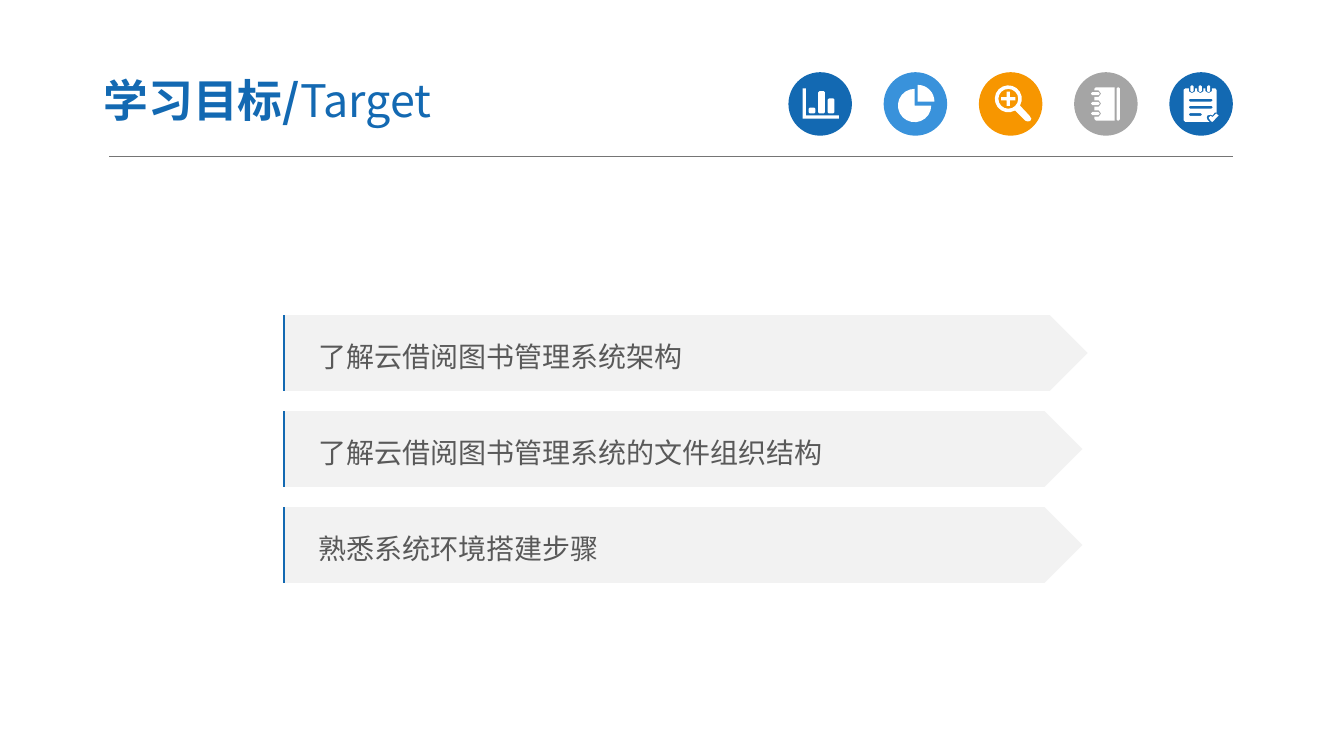
from math import cos, radians, sin

from lxml.etree import SubElement
from pptx import Presentation
from pptx.dml.color import RGBColor
from pptx.enum.shapes import MSO_CONNECTOR, MSO_SHAPE
from pptx.enum.text import MSO_ANCHOR, MSO_AUTO_SIZE, PP_ALIGN
from pptx.oxml.ns import qn
from pptx.util import Cm, Pt

BLUE, SKY, ORANGE, GREY, WHITE = "1369B2", "3992DB", "F79600", "A5A5A5", "FFFFFF"


def rgb(value):
    """Turn a hex string into a colour."""
    return RGBColor.from_string(value)


def arc(cx, cy, r, start, end, steps=16):
    """List points along an arc, with angles clockwise from the right."""
    angles = [radians(start + (end - start) * i / steps) for i in range(steps + 1)]
    return [(cx + r * cos(a), cy + r * sin(a)) for a in angles]


def bar(x, y, w, h, c=0.03):
    """List the points of a box with cut corners."""
    r, b = x + w, y + h
    return [(x + c, y), (r - c, y), (r, y + c), (r, b - c),
            (r - c, b), (x + c, b), (x, b - c), (x, y + c)]


class Deck:
    """Hold the style and the current slide."""

    font = "Noto Sans CJK SC"

    def __init__(self, prs):
        """Add a title-only slide."""
        self.s = prs.slides.add_slide(prs.slide_layouts[5])

    def paint(self, sp, fill):
        """Give a shape a plain fill without line or shadow."""
        sp.shadow.inherit = False
        sp.fill.solid()
        sp.fill.fore_color.rgb = rgb(fill)
        sp.line.fill.background()
        return sp

    def shape(self, shapes, kind, x, y, w, h, fill):
        """Add a preset shape."""
        return self.paint(shapes.add_shape(kind, Cm(x), Cm(y), Cm(w), Cm(h)), fill)

    def outline(self, shapes, x, y, contours, fill):
        """Add one shape made of several closed contours."""
        placed = [[(Cm(x + dx), Cm(y + dy)) for dx, dy in c] for c in contours]
        fb = shapes.build_freeform(*placed[0][0])
        for pts in placed:
            fb.move_to(*pts[0])
            fb.add_line_segments(pts[1:], close=True)
        return self.paint(fb.convert_to_shape(), fill)

    def rule(self, x1, x2, y, colour, width):
        """Add a horizontal line."""
        c = self.s.shapes.add_connector(MSO_CONNECTOR.STRAIGHT, Cm(x1), Cm(y), Cm(x2), Cm(y))
        c.line.color.rgb = rgb(colour)
        c.line.width = Pt(width)
        SubElement(c._element.spPr, qn("a:effectLst"))

    def edge(self, shapes, x, y, h):
        """Add the upright edge of a bar as an open path."""
        fb = shapes.build_freeform(Cm(x + 0.3), Cm(y))
        fb.move_to(Cm(x), Cm(y + h))
        fb.add_line_segments([(Cm(x), Cm(y))], close=False)
        sp = fb.convert_to_shape()
        sp.shadow.inherit = False
        sp.fill.background()
        sp.line.color.rgb = rgb(BLUE)
        sp.line.width = Pt(1.5)

    def run(self, p, text, size, colour, bold=False):
        """Add one run of text."""
        r = p.add_run()
        r.text = text
        r.font.size, r.font.bold, r.font.name = Pt(size), bold, self.font
        r.font.color.rgb = rgb(colour)
        SubElement(r._r.get_or_add_rPr(), qn("a:ea")).set("typeface", self.font)

    def frame(self, sp, left, top):
        """Prepare a text frame and return its first paragraph."""
        tf = sp.text_frame
        tf.word_wrap, tf.auto_size = True, MSO_AUTO_SIZE.NONE
        tf.vertical_anchor = MSO_ANCHOR.MIDDLE
        tf.margin_left, tf.margin_right = Cm(left), Cm(0.25)
        tf.margin_top = tf.margin_bottom = Cm(top)
        p = tf.paragraphs[0]
        p.alignment = PP_ALIGN.LEFT
        return p

    def title(self, strong, light):
        """Place and fill the title."""
        sp = self.s.shapes.title
        sp.left, sp.top, sp.width, sp.height = Cm(2.27), Cm(1.6), Cm(13.26), Cm(1.83)
        p = self.frame(sp, 0.34, 0.18)
        self.run(p, strong, 32, BLUE, True)
        self.run(p, light, 32, BLUE)

    def goal(self, y, w, text):
        """Add an arrow-shaped bar with a goal."""
        shapes = self.s.shapes.add_group_shape().shapes
        sp = self.shape(shapes, MSO_SHAPE.PENTAGON, 7.14, y, w, 1.91, "F2F2F2")
        p = self.frame(sp, 0.88, 0.13)
        p.line_spacing = 1.2
        self.run(p, text, 20, "595959")
        self.edge(shapes, 7.16, y, 1.91)

    def icon(self, x, y, colour, contours):
        """Add a disc with a white symbol."""
        shapes = self.s.shapes.add_group_shape().shapes
        self.shape(shapes, MSO_SHAPE.OVAL, x, y, 1.6, 1.6, colour)
        self.outline(shapes, x, y, contours, WHITE)


def chart_symbol():
    """Outline a bar chart with its axes."""
    axes = [(0.36, 0.41), (0.44, 0.41), (0.44, 1.09), (1.27, 1.09), (1.27, 1.17), (0.36, 1.17)]
    return [axes] + [bar(0.51 + 0.24 * i, 1.04 - h, 0.17, h)
                     for i, h in enumerate((0.15, 0.56, 0.38))]


def pie_symbol():
    """Outline a pie with one quarter pulled out."""
    return [[(0.86, 0.74)] + arc(0.86, 0.74, 0.42, -90, 0, 8),
            [(0.78, 0.84)] + arc(0.78, 0.84, 0.42, 0, 270)]


def lens_symbol():
    """Outline a magnifier with a plus sign."""
    cx, cy, a, b = 0.74, 0.67, 0.04, 0.18
    handle = [(1.27, 1.09), (1.32, 1.17), (1.29, 1.23), (1.22, 1.24), (1.17, 1.22)]
    plus = [(-a, -b), (a, -b), (a, -a), (b, -a), (b, a), (a, a),
            (a, b), (-a, b), (-a, a), (-b, a), (-b, -a), (-a, -a)]
    return [arc(cx, cy, 0.34, 60, 390) + handle, arc(cx, cy, 0.25, 0, 360),
            [(cx + dx, cy + dy) for dx, dy in plus]]


def book_symbol():
    """Outline a ring-bound notebook."""
    rings = (0.54, 0.79, 1.04)
    cover = [(1.02, 1.22), (1.02, 0.38), (0.55, 0.38), (0.51, 0.42)]
    for y in rings:
        cover += [(0.51, y - 0.08), (0.62, y - 0.08), (0.68, y), (0.62, y + 0.08), (0.51, y + 0.08)]
    cover += [(0.51, 1.18), (0.55, 1.22)]
    return [cover, bar(1.07, 0.38, 0.08, 0.84)] + [bar(0.43, y - 0.04, 0.21, 0.08) for y in rings]


def pad_symbol():
    """Outline a notepad with a check mark."""
    rings = (0.57, 0.78, 0.99)
    page = [(0.36, 1.21), (0.36, 0.44), (0.4, 0.41)]
    for x in rings:
        page += [(x - 0.08, 0.41), (x - 0.08, 0.48), (x, 0.53), (x + 0.08, 0.48), (x + 0.08, 0.41)]
    page += [(1.16, 0.41), (1.19, 0.45), (1.19, 1.02), (1.14, 1.02), (1.09, 1.09), (1.03, 1.07),
             (0.96, 1.09), (0.94, 1.14), (0.96, 1.2), (1.01, 1.25), (0.4, 1.25)]
    check = [(0.99, 1.15), (1.04, 1.1), (1.09, 1.13), (1.18, 1.04), (1.24, 1.09), (1.09, 1.25), (1.05, 1.24)]
    lines = [bar(0.49, 0.67 + 0.18 * i, w, 0.07) for i, w in enumerate((0.6, 0.6, 0.33))]
    return [page, check] + lines + [bar(x - 0.04, 0.33, 0.08, 0.17) for x in rings]


def main():
    """Build the slide of learning goals."""
    prs = Presentation()
    prs.slide_width, prs.slide_height = Cm(33.87), Cm(19.05)
    deck = Deck(prs)
    deck.rule(2.75, 31.07, 3.93, "757575", 0.5)
    icons = [(BLUE, chart_symbol), (SKY, pie_symbol), (ORANGE, lens_symbol),
             (GREY, book_symbol), (BLUE, pad_symbol)]
    for i, (colour, symbol) in enumerate(icons):
        deck.icon(19.87 + 2.4 * i, 1.82, colour, symbol())
    deck.title("学习目标/", "Target")
    goals = [(20.27, "了解云借阅图书管理系统架构"),
             (20.14, "了解云借阅图书管理系统的文件组织结构"),
             (20.14, "熟悉系统环境搭建步骤")]
    for i, (width, text) in enumerate(goals):
        deck.goal(7.94 + 2.42 * i, width, text)
    prs.save("out.pptx")


if __name__ == "__main__":
    main()
